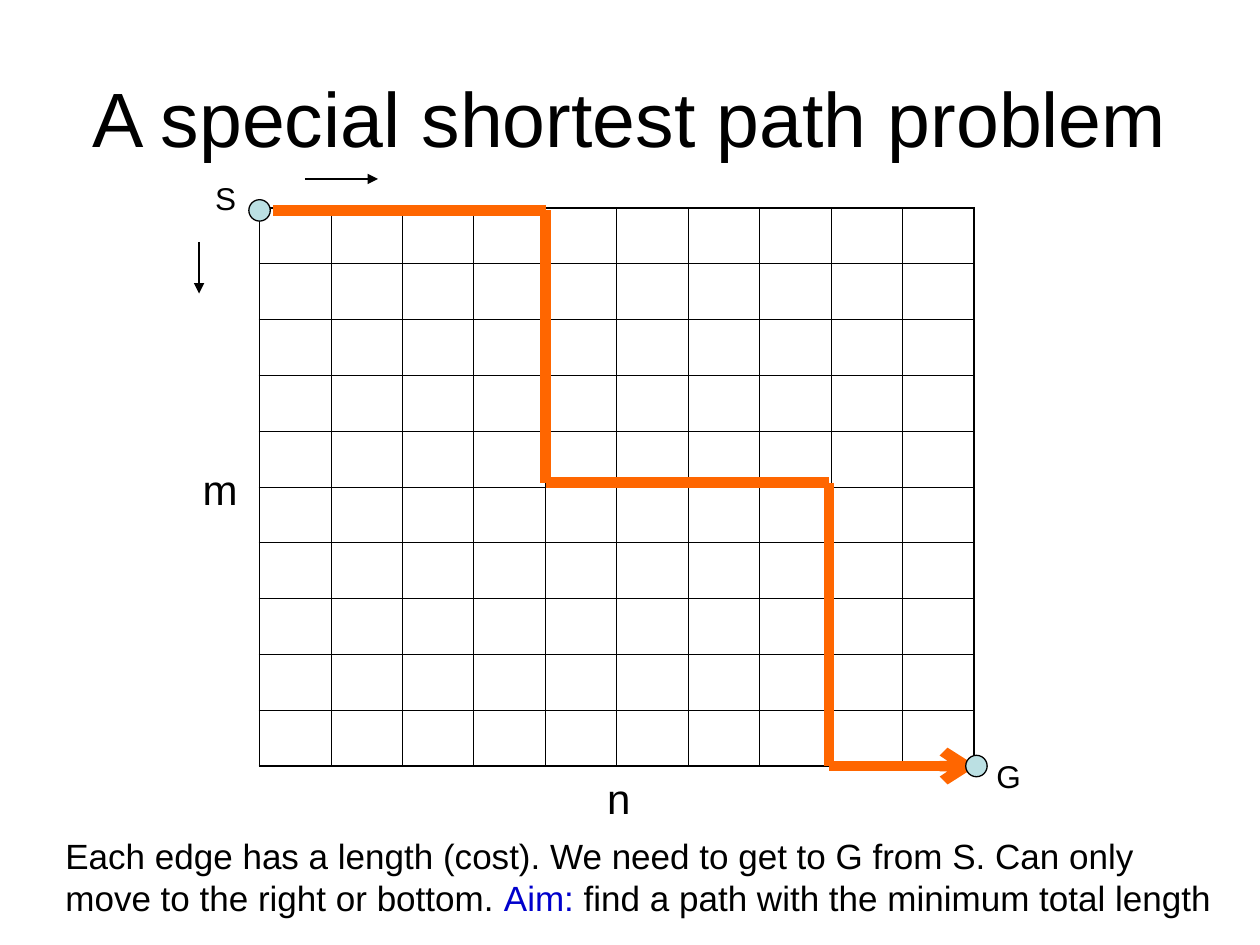
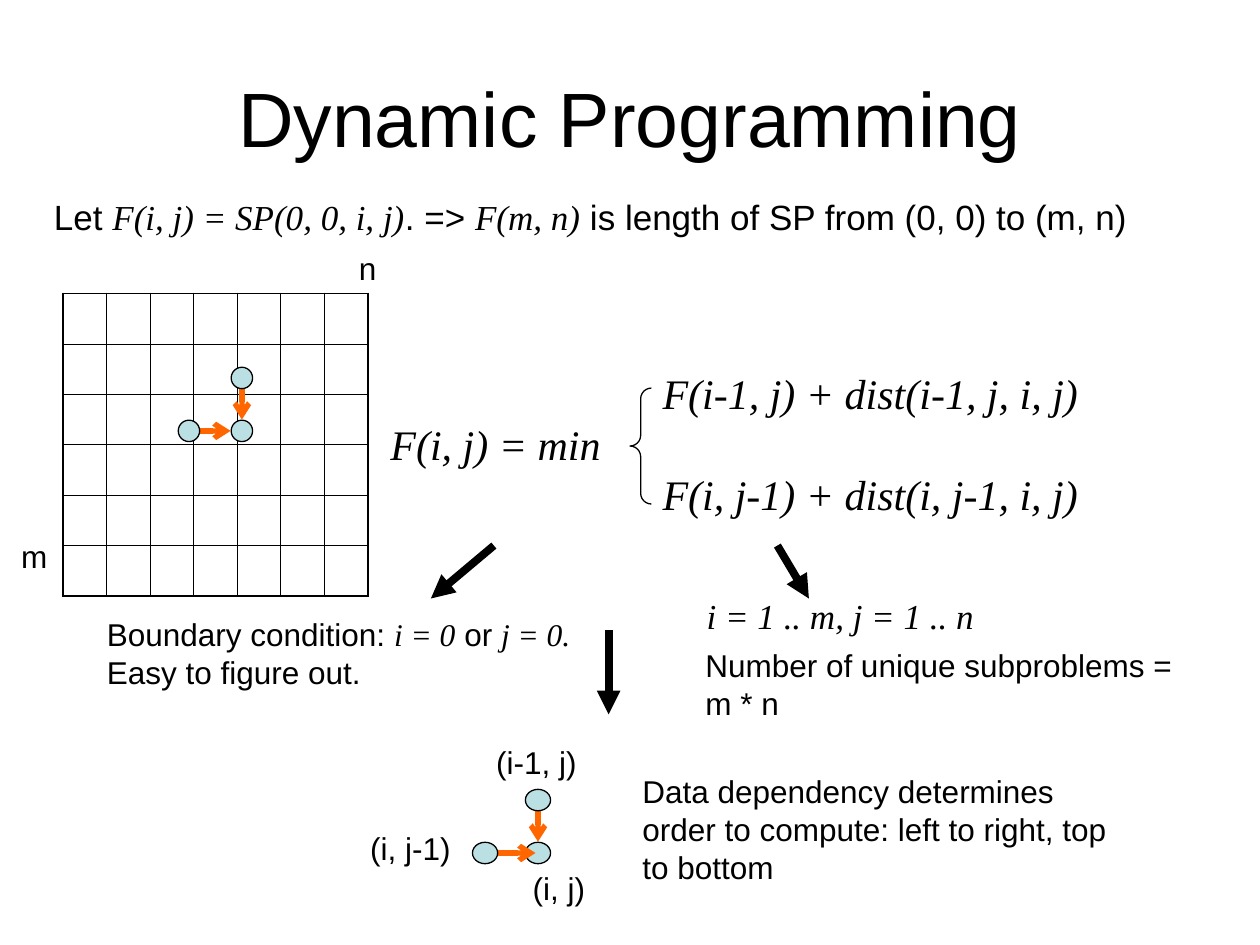
from pptx import Presentation
from pptx import util as u
from pptx.dml.color import RGBColor
from pptx.enum import shapes, text
from pptx.oxml import parse_xml
from pptx.oxml.ns import nsdecls

BLACK, ORANGE, NODE, BLUE = "000000", "FF6600", "BBE0E3", "0000CC"
SANS, SERIF = "Arial", "Times New Roman"
THIN, THICK = 0.45, 1.08
NODE_SIZE, NODE_STEP = 0.17, 0.42


def color(target, value):
    """Give a fill, line or font colour from a hex string."""
    target.rgb = RGBColor.from_string(value)


def add_run(p, words, size, font=SANS, value=BLACK):
    """Append a run; serif runs are mathematics and so italic."""
    r = p.add_run()
    r.text = words
    r.font.size = u.Pt(size)
    r.font.name = font
    r.font.italic = font == SERIF
    color(r.font.color, value)


def add_text(slide, box, size, *runs, wrap=True):
    """Add a growing text box with one paragraph of (words, font, colour) runs."""
    sp = slide.shapes.add_textbox(*map(u.Inches, box))
    tf = sp.text_frame
    tf.word_wrap = wrap
    tf.auto_size = text.MSO_AUTO_SIZE.SHAPE_TO_FIT_TEXT
    for run in runs:
        add_run(tf.paragraphs[0], run[0], size, *run[1:])
    return tf


def add_label(slide, x, y, w, words, size=18, font=SANS):
    """Add a short unwrapped label."""
    add_text(slide, (x, y, w, size / 60 + 0.1), size, (words, font), wrap=False)


def add_line(slide, start, end, value=BLACK, width=0.75, head=None):
    """Draw a straight connector with an optional arrowhead at its end."""
    points = map(u.Inches, (*start, *end))
    sp = slide.shapes.add_connector(shapes.MSO_CONNECTOR.STRAIGHT, *points)
    color(sp.line.color, value)
    sp.line.width = u.Pt(width)
    if head:
        sp.line._get_or_add_ln().append(
            parse_xml(f'<a:tailEnd {nsdecls("a")} type="{head}"/>'))
    sp._element.spPr.append(parse_xml(f'<a:effectLst {nsdecls("a")}/>'))


def add_node(slide, x, y, w=NODE_SIZE):
    """Draw a graph node centred on a point."""
    box = (x - w / 2, y - NODE_SIZE / 2, w, NODE_SIZE)
    sp = slide.shapes.add_shape(shapes.MSO_SHAPE.OVAL, *map(u.Inches, box))
    sp.shadow.inherit = False
    sp.fill.solid()
    color(sp.fill.fore_color, NODE)
    color(sp.line.color, BLACK)
    sp.line.width = u.Pt(0.75)


def set_borders(cell, widths):
    """Put black borders of the given widths on the four sides of a cell."""
    tcPr = cell._tc.get_or_add_tcPr()
    for i, (side, width) in enumerate(widths.items()):
        tcPr.insert(i, parse_xml(
            f'<a:ln{side} {nsdecls("a")} w="{u.Pt(width)}"><a:solidFill>'
            f'<a:srgbClr val="{BLACK}"/></a:solidFill></a:ln{side}>'))


def add_grid(slide, x, y, w, h, rows, cols):
    """Draw an empty table with thin inner lines and a thicker outline."""
    box = map(u.Inches, (x, y, w, h))
    table = slide.shapes.add_table(rows, cols, *box).table
    table.first_row = table.horz_banding = False
    for column in table.columns:
        column.width = u.Inches(w / cols)
    for i, row in enumerate(table.rows):
        row.height = u.Inches(h / rows)
        for j, cell in enumerate(row.cells):
            cell.margin_top = cell.margin_bottom = 0
            cell.fill.background()
            outer = {"L": j == 0, "R": j == cols - 1,
                     "T": i == 0, "B": i == rows - 1}
            set_borders(cell, {k: THICK if v else THIN for k, v in outer.items()})


def add_title_slide(prs, title):
    """Add a title-only slide and format its title."""
    slide = prs.slides.add_slide(prs.slide_layouts[5])
    sp = slide.shapes.title
    sp.left, sp.top, sp.width, sp.height = map(u.Inches, (0.5, 0.3, 9, 1.25))
    tf = sp.text_frame
    tf.vertical_anchor = text.MSO_ANCHOR.MIDDLE
    p = tf.paragraphs[0]
    p.alignment = text.PP_ALIGN.CENTER
    add_run(p, title, 44)
    return slide


def add_path_map(slide, x, y):
    """Draw the large grid with its labels and the path from S to G."""
    w, h = 5.67, 4.43
    add_grid(slide, x, y, w, h, 10, 10)
    add_node(slide, x, y + 0.02)
    add_label(slide, x - 0.45, y - 0.28, 0.36, "S")
    add_label(slide, x + w + 0.08, y + h - 0.12, 0.39, "G")
    add_label(slide, x - 0.55, y + 1.98, 0.48, "m", 24)
    add_label(slide, x + 2.66, y + h, 0.38, "n", 24)
    offsets = [(0.11, 0.02), (2.27, 0.02), (2.27, 2.18),
               (4.52, 2.18), (4.52, h), (5.69, h)]
    points = [(x + dx, y + dy) for dx, dy in offsets]
    for start, end in zip(points, points[1:]):
        head = "arrow" if end == points[-1] else None
        add_line(slide, start, end, ORANGE, 6, head)
    add_node(slide, x + w + 0.02, y + h)
    add_line(slide, (x + 0.36, y - 0.23), (x + 0.94, y - 0.23), head="triangle")
    add_line(slide, (x - 0.48, y + 0.27), (x - 0.48, y + 0.68), head="triangle")


def add_dependency(slide, x, y, w=NODE_SIZE, tip=0.09):
    """Draw a node centred at a point, fed from above and from the left."""
    above, left = y - NODE_STEP, x - NODE_STEP
    add_node(slide, x, y, w)
    add_line(slide, (x, above + 0.09), (x, y - 0.09), ORANGE, 3, "arrow")
    add_node(slide, x, above, w)
    add_line(slide, (left + w / 2, y), (x - tip, y), ORANGE, 3, "arrow")
    add_node(slide, left, y, w)


def add_recurrence(slide, x, y):
    """Write the recurrence with its two cases behind a brace."""
    tf = add_text(slide, (x, y, 6.75, 1.3), 24)
    lines = [("F(i-1, j) + dist(i-1, j, i, j)", 2.16), ("F(i, j) = min", 0),
             ("F(i, j-1) + dist(i, j-1, i, j)", 2.16)]
    for i, (words, indent) in enumerate(lines):
        p = tf.add_paragraph() if i else tf.paragraphs[0]
        p._p.get_or_add_pPr().set("marL", str(u.Inches(indent)))
        add_run(p, words, 24, SERIF)
    box = map(u.Inches, (x + 2, y + 0.21, 0.17, 0.92))
    sp = slide.shapes.add_shape(shapes.MSO_SHAPE.LEFT_BRACE, *box)
    sp.shadow.inherit = False
    sp.adjustments[0] = 0.5
    sp.fill.background()
    color(sp.line.color, BLACK)
    sp.line.width = u.Pt(0.75)


def add_small_grid(slide, x, y):
    """Draw the small grid with one dependency and its size labels."""
    add_grid(slide, x, y, 2.42, 2.4, 6, 7)
    add_dependency(slide, x + 1.42, y + 1.09)
    add_label(slide, x - 0.43, y + 1.88, 0.41, "m")
    add_label(slide, x + 2.25, y - 0.4, 0.34, "n")


def add_order_note(slide, x, y):
    """Explain the order of computation with a labelled dependency."""
    add_text(slide, (x + 0.73, y - 0.69, 4.09, 1), 18,
             ("Data dependency determines order to compute: "
              "left to right, top to bottom",))
    add_dependency(slide, x, y, 0.2, 0.02)
    add_label(slide, x - 0.14, y + 0.08, 0.64, "(i, j)")
    add_label(slide, x - 0.43, y - 0.92, 0.84, "(i-1, j)")
    add_label(slide, x - 1.43, y - 0.24, 0.84, "(i, j-1)")


def build_problem(prs):
    """Build the slide that states the problem."""
    slide = add_title_slide(prs, "A special shortest path problem")
    add_path_map(slide, 2.06, 1.65)
    add_text(slide, (0.42, 6.57, 9.42, 0.77), 20,
             ("Each edge has a length (cost). We need to get to G from S. "
              "Can only move to the right or bottom. ",),
             ("Aim:", SANS, BLUE),
             (" find a path with the minimum total length",))


def build_solution(prs):
    """Build the slide that solves the problem."""
    slide = add_title_slide(prs, "Dynamic Programming")
    add_text(slide, (0.33, 1.5, 9.42, 0.44), 20,
             ("Let ",), ("F(i, j) = SP(0, 0, i, j)", SERIF), (". => ",),
             ("F(m, n)", SERIF), (" is length of SP from (0, 0) to (m, n)",))
    add_recurrence(slide, 3, 2.87)
    add_small_grid(slide, 0.5, 2.33)
    add_text(slide, (0.75, 4.83, 4.33, 0.7), 18,
             ("Boundary condition: ",), ("i = 0", SERIF), (" or ",),
             ("j = 0. ", SERIF), ("Easy to figure out.",))
    add_label(slide, 5.51, 4.67, 2.32, "i = 1 .. m, j = 1 .. n", 20, SERIF)
    add_text(slide, (5.5, 5.08, 4, 0.7), 18,
             ("Number of unique subproblems = m * n",))
    for start, end in [((3.92, 4.33), (3.42, 4.75)),
                       ((6.17, 4.33), (6.42, 4.75)),
                       ((4.83, 5), (4.83, 5.67))]:
        add_line(slide, start, end, width=4.5, head="triangle")
    add_order_note(slide, 4.27, 6.77)


def main():
    """Build and save the presentation."""
    prs = Presentation()
    prs.slide_width, prs.slide_height = u.Inches(10), u.Inches(7.5)
    build_problem(prs)
    build_solution(prs)
    prs.save("out.pptx")


if __name__ == "__main__":
    main()
